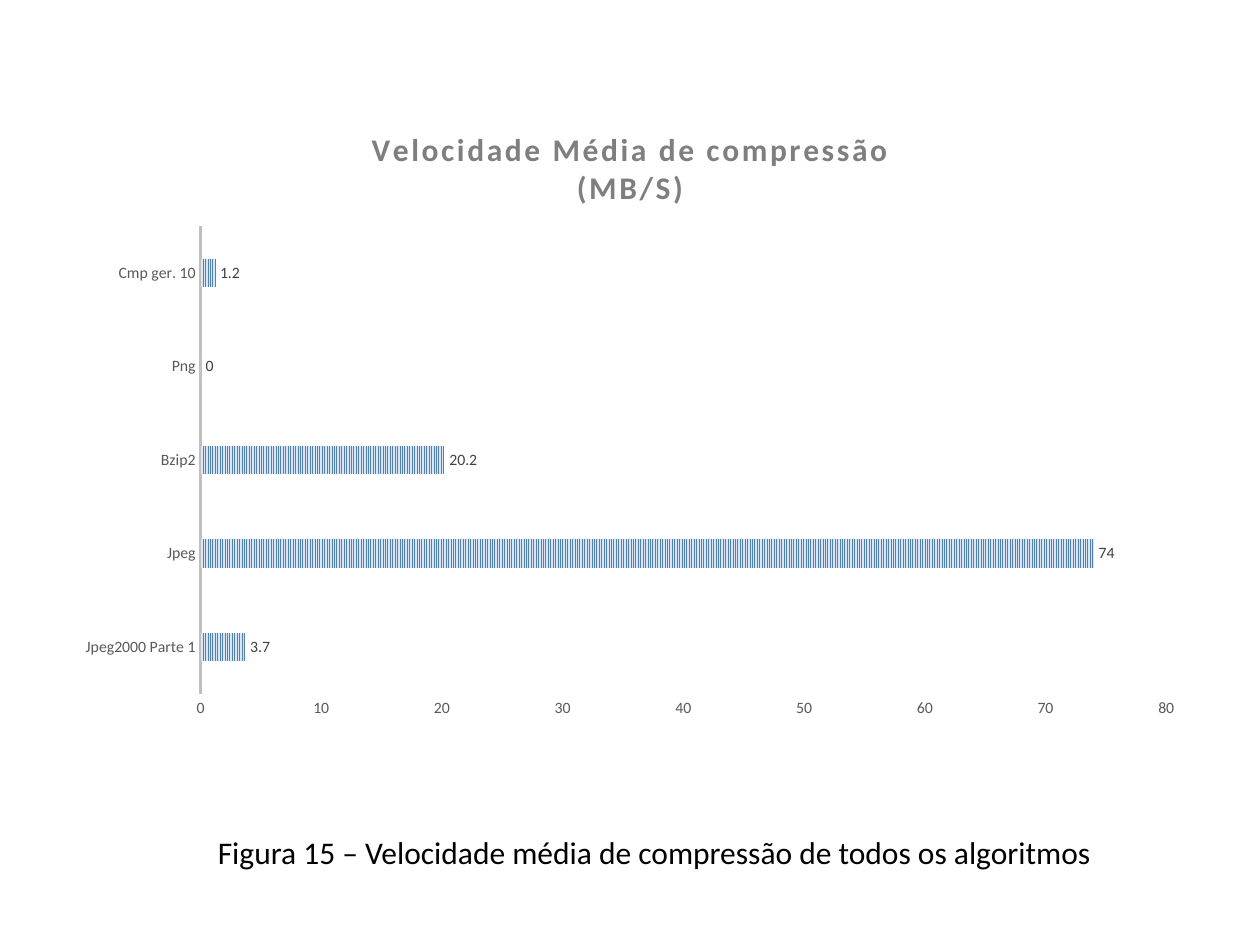
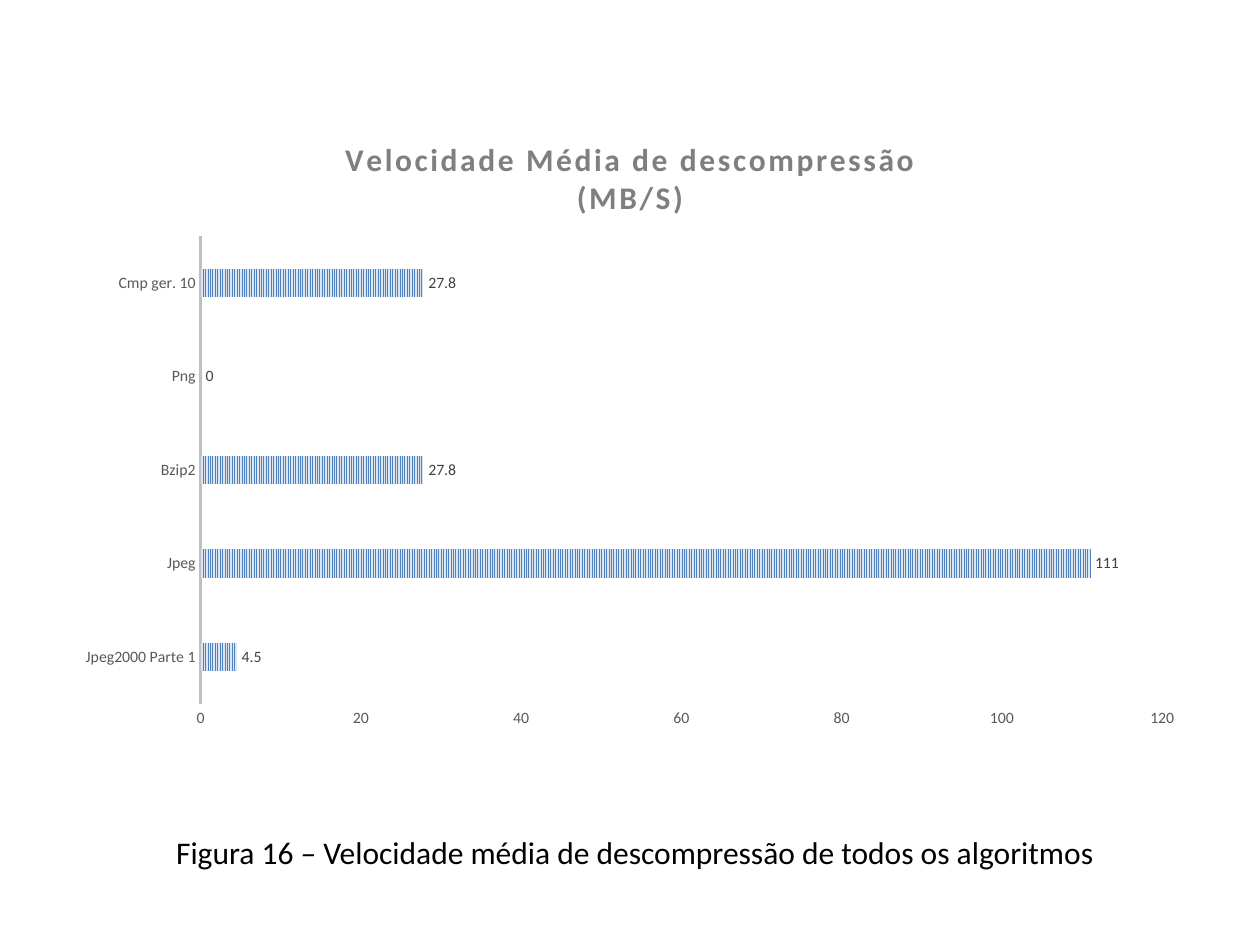
from pptx import Presentation
from pptx.chart.data import CategoryChartData
from pptx.dml.color import RGBColor
from pptx.enum.chart import XL_CHART_TYPE, XL_LABEL_POSITION, XL_TICK_MARK
from pptx.enum.dml import MSO_PATTERN
from pptx.enum.text import MSO_AUTO_SIZE, PP_ALIGN
from pptx.util import Pt

FONT = "Calibri"
COLORS = {
    "text": "000000",
    "title": "7F7F7F",
    "axis_text": "595959",
    "axis_line": "BFBFBF",
    "label": "404040",
    "bar": "4F81BD",
    "bar_back": "DCE6F2",
}
ALGORITHMS = ["Jpeg2000 Parte 1", "Jpeg", "Bzip2", "Png", "Cmp ger. 10"]

# Boxes are left, top, width, height in points
FIGURES = [
    {
        "title": "Velocidade Média de compressão",
        "speeds": [3.7, 74, 20.2, 0, 1.2],
        "chart_box": (36, 60.5, 648, 356.4),
        "caption": "Figura 15 – Velocidade média de compressão de todos os algoritmos",
        "caption_box": (90, 472.3, 568, 29),
    },
    {
        "title": "Velocidade Média de descompressão",
        "speeds": [4.5, 111, 27.8, 0, 27.8],
        "chart_box": (36, 66.2, 648, 356.4),
        "caption": "Figura 16 – Velocidade média de descompressão de todos os algoritmos",
        "caption_box": (67.7, 472.3, 590.4, 29),
    },
]


def color(name):
    return RGBColor.from_string(COLORS[name])


def style_font(font, size, color_name, bold=False):
    font.name = FONT
    font.size = Pt(size)
    font.bold = bold
    font.color.rgb = color(color_name)


def style_title(chart, title):
    """Write the chart title with its unit on a second line."""
    chart.has_title = True
    frame = chart.chart_title.text_frame
    for number, line in enumerate([title, "(MB/S)"]):
        paragraph = frame.add_paragraph() if number else frame.paragraphs[0]
        run = paragraph.add_run()
        run.text = line
        style_font(run.font, 18, "title", bold=True)
        run.font._element.set("spc", "150")
    chart.chart_title.include_in_layout = False


def style_axes(chart):
    for axis in (chart.category_axis, chart.value_axis):
        axis.has_major_gridlines = False
        axis.major_tick_mark = XL_TICK_MARK.NONE
        axis.minor_tick_mark = XL_TICK_MARK.NONE
        style_font(axis.tick_labels.font, 9, "axis_text")
    category_line = chart.category_axis.format.line
    category_line.color.rgb = color("axis_line")
    category_line.width = Pt(1.5)
    chart.value_axis.format.line.fill.background()


def style_bars(plot):
    plot.gap_width = 227
    plot.overlap = -48
    plot.vary_by_categories = False
    series = plot.series[0]
    series.invert_if_negative = False

    # Striped fill
    fill = series.format.fill
    fill.patterned()
    fill.pattern = MSO_PATTERN.NARROW_VERTICAL
    fill.fore_color.rgb = color("bar")
    fill.back_color.rgb = color("bar_back")
    series.format.line.fill.background()

    # Value labels
    labels = series.data_labels
    labels.show_value = True
    labels.position = XL_LABEL_POSITION.OUTSIDE_END
    style_font(labels.font, 9, "label")


def add_speed_chart(slide, box, title, speeds):
    data = CategoryChartData()
    data.categories = ALGORITHMS
    data.add_series("Series 1", speeds)
    frame = slide.shapes.add_chart(
        XL_CHART_TYPE.BAR_CLUSTERED, *map(Pt, box), data
    )
    chart = frame.chart
    chart.has_legend = False
    style_font(chart.font, 10, "text")
    style_title(chart, title)
    style_axes(chart)
    style_bars(chart.plots[0])


def add_caption(slide, box, caption):
    frame = slide.shapes.add_textbox(*map(Pt, box)).text_frame
    frame.word_wrap = True
    frame.auto_size = MSO_AUTO_SIZE.SHAPE_TO_FIT_TEXT
    paragraph = frame.paragraphs[0]
    paragraph.alignment = PP_ALIGN.CENTER
    run = paragraph.add_run()
    run.text = caption
    style_font(run.font, 18, "text")


def add_figure_slide(presentation, figure):
    slide = presentation.slides.add_slide(presentation.slide_layouts[6])
    add_speed_chart(slide, figure["chart_box"], figure["title"], figure["speeds"])
    add_caption(slide, figure["caption_box"], figure["caption"])


def main():
    presentation = Presentation()
    presentation.slide_width = Pt(720)
    presentation.slide_height = Pt(540)
    for figure in FIGURES:
        add_figure_slide(presentation, figure)
    presentation.save("out.pptx")


if __name__ == "__main__":
    main()
